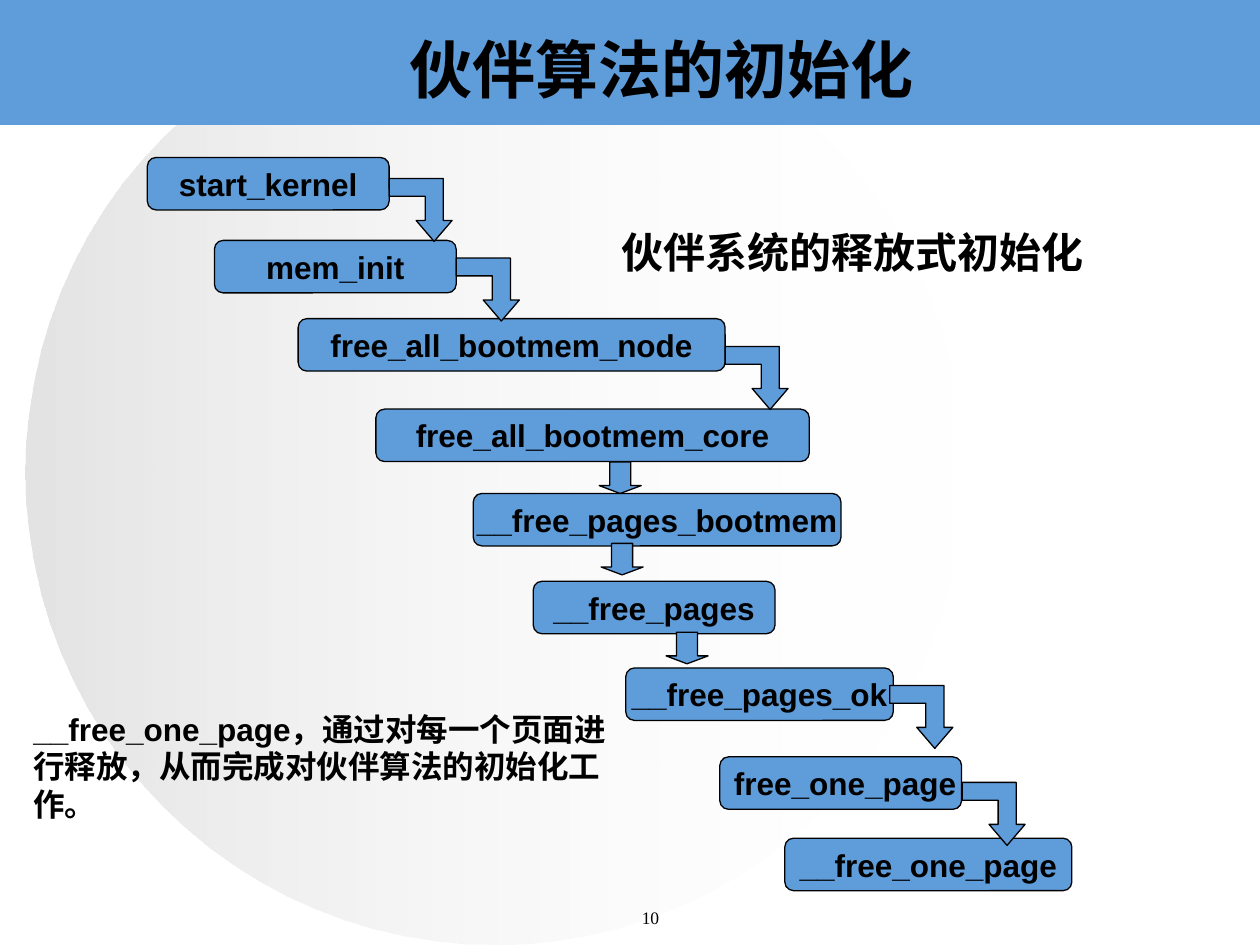
from dataclasses import dataclass

from lxml import etree
from pptx import Presentation
from pptx.dml.color import RGBColor
from pptx.enum.shapes import MSO_SHAPE
from pptx.enum.text import MSO_ANCHOR, MSO_AUTO_SIZE, PP_ALIGN
from pptx.oxml.ns import qn
from pptx.util import Pt

CENTER, LEFT = PP_ALIGN.CENTER, PP_ALIGN.LEFT
MIDDLE, TOP = MSO_ANCHOR.MIDDLE, MSO_ANCHOR.TOP
STEP, DOWN_ARROW = MSO_SHAPE.FLOWCHART_ALTERNATE_PROCESS, MSO_SHAPE.DOWN_ARROW
ELLIPSE, RECTANGLE = MSO_SHAPE.OVAL, MSO_SHAPE.RECTANGLE


@dataclass(frozen=True)
class Theme:
    blue: RGBColor = RGBColor(0x5E, 0x9C, 0xDA)
    ink: RGBColor = RGBColor(0, 0, 0)
    pale: RGBColor = RGBColor(0xFE, 0xFE, 0xFE)
    grey: RGBColor = RGBColor(0xC0, 0xC0, 0xC0)
    latin: str = "Arial"
    chinese: str = "Noto Sans CJK SC"
    number: str = "Times New Roman"
    title_size: int = 36
    heading_size: int = 24
    body_size: int = 18
    number_size: int = 10


theme = Theme()


def write(box, text, size, font=theme.latin, bold=True, align=CENTER, anchor=MIDDLE, wrap=True):
    frame = box.text_frame
    frame.auto_size = MSO_AUTO_SIZE.NONE
    frame.word_wrap = wrap
    frame.vertical_anchor = anchor
    para = frame.paragraphs[0]
    para.alignment = align
    span = para.add_run()
    span.text = text
    span.font.size = Pt(size)
    span.font.bold = bold
    span.font.name = font
    span.font.color.rgb = theme.ink
    latin = span.font._element.find(qn("a:latin"))
    east_asian = etree.Element(qn("a:ea"), typeface=theme.chinese)
    latin.addnext(east_asian)


def paint(shape, outlined=True):
    shape.shadow.inherit = False
    shape.fill.solid()
    shape.fill.fore_color.rgb = theme.blue
    if outlined:
        shape.line.color.rgb = theme.ink
        shape.line.width = Pt(0.75)
    else:
        shape.line.fill.background()


deck = Presentation()
deck.slide_width, deck.slide_height = Pt(720), Pt(540)
page = deck.slides.add_slide(deck.slide_layouts[5])
shapes = page.shapes

# Background: fading disc and title band
disc = shapes.add_shape(ELLIPSE, Pt(14.4), Pt(0), Pt(535.7), Pt(540))
disc.shadow.inherit = False
disc.line.fill.background()
disc.fill.gradient()
disc.fill.gradient_angle = 180
for stop, position, color, opacity in zip(
    disc.fill.gradient_stops, (0, 1), (theme.pale, theme.grey), (0, 44000)
):
    stop.position = position
    stop.color.rgb = color
for rgb, opacity in zip(disc.element.spPr.iter(qn("a:srgbClr")), (0, 44000)):
    etree.SubElement(rgb, qn("a:alpha"), val=str(opacity))

band = shapes.add_shape(RECTANGLE, Pt(0), Pt(0), Pt(720), Pt(71.4))
paint(band, outlined=False)

title = shapes.title
title.left, title.top, title.width, title.height = Pt(72), Pt(-5.8), Pt(612), Pt(89.3)
write(title, "伙伴算法的初始化", theme.title_size, theme.chinese)
band.element.addnext(title.element)

# Call chain: name, left, top, width
calls = [
    ("start_kernel", 84.2, 90, 138.2),
    ("mem_init", 122.5, 137.4, 138.2),
    ("free_all_bootmem_node", 170.4, 182.1, 244),
    ("free_all_bootmem_core", 214.8, 233.8, 247.7),
    ("__free_pages_bootmem", 270.4, 282, 210.2),
    ("__free_pages", 304.7, 332.2, 138.2),
    ("__free_pages_ok", 357.6, 381.7, 152.9),
    (" free_one_page", 411.3, 432.5, 138.2),
    ("__free_one_page", 448.5, 479, 164),
]
for name, left, top, width in calls:
    step = shapes.add_shape(STEP, Pt(left), Pt(top), Pt(width), Pt(30))
    paint(step)
    write(step, name, theme.body_size, wrap=False)

elbow = [(0, 10.2), (20.6, 10.2), (20.6, 24), (15.4, 24), (25.7, 36),
         (36, 24), (30.9, 24), (30.9, 0), (0, 0)]
for left, top in [(222.4, 102), (260.8, 147.5), (414.4, 198), (508.5, 391.7), (549.8, 447.1)]:
    points = [(Pt(left + x), Pt(top + y)) for x, y in elbow]
    outline = shapes.build_freeform(*points[0], scale=1.0)
    outline.add_line_segments(points[1:], close=True)
    paint(outline.convert_to_shape())

for left, top in [(342.4, 264), (343.5, 310.5), (380.6, 361.3)]:
    arrow = shapes.add_shape(DOWN_ARROW, Pt(left), Pt(top), Pt(24), Pt(18))
    arrow.adjustments[0], arrow.adjustments[1] = 0.5, 0.25
    paint(arrow)

# Notes beside the chain
heading = shapes.add_textbox(Pt(348), Pt(126), Pt(348), Pt(64.8))
write(heading, "伙伴系统的释放式初始化", theme.heading_size, align=LEFT, anchor=TOP)

summary = shapes.add_textbox(Pt(12), Pt(402), Pt(354), Pt(93.6))
write(summary, "__free_one_page，通过对每一个页面进行释放，从而完成对伙伴算法的初始化工作。",
      theme.body_size, align=LEFT, anchor=TOP)

page_number = shapes.add_textbox(Pt(330), Pt(515), Pt(66), Pt(21))
page_number.text_frame.margin_left = Pt(24.5)
write(page_number, "10", theme.number_size, theme.number, bold=False, anchor=TOP)

deck.save("out.pptx")
